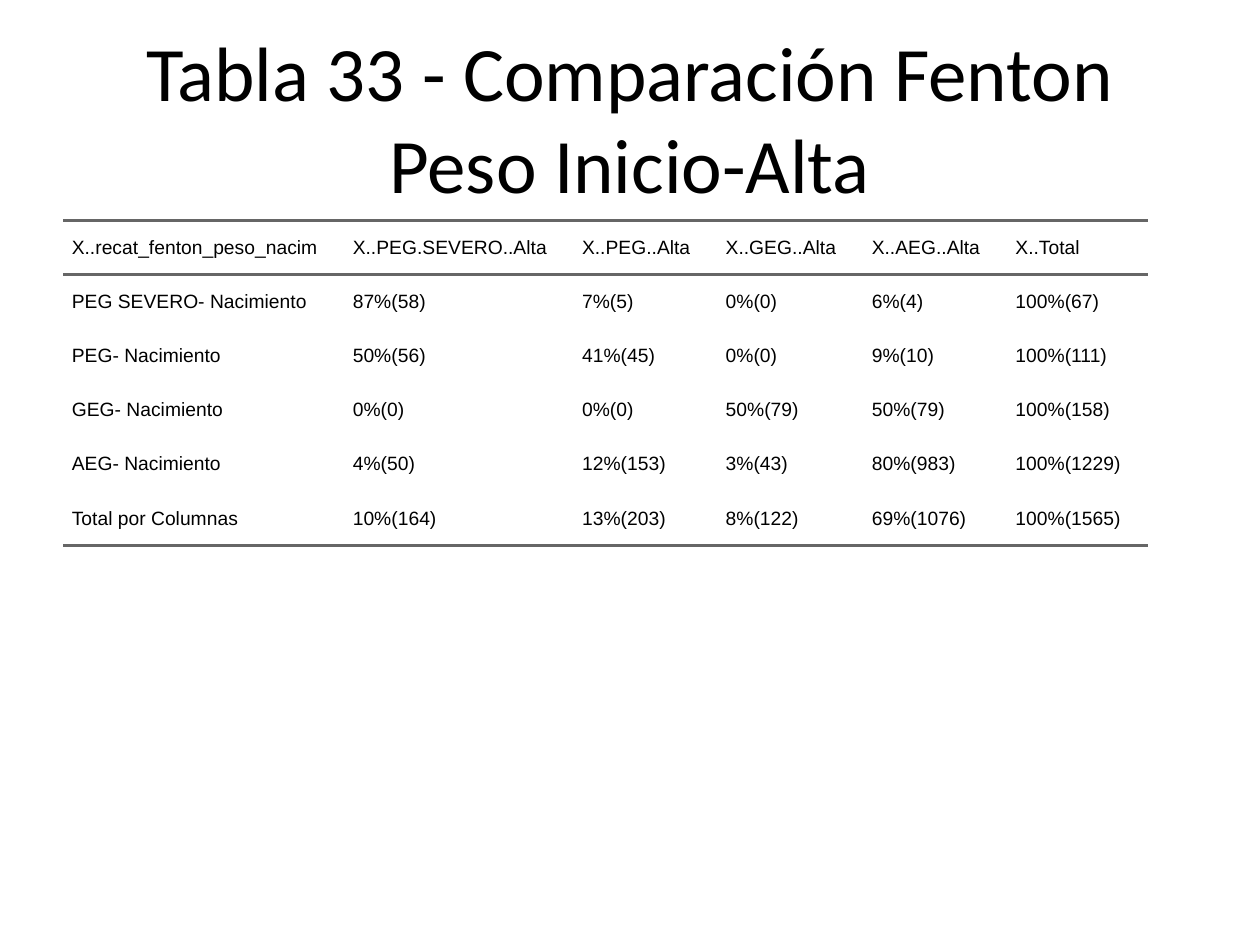
"""Build the Fenton weight comparison slide."""
from lxml import etree
from pptx import Presentation
from pptx.dml.color import RGBColor
from pptx.enum.text import MSO_ANCHOR as ANCHOR, PP_ALIGN as ALIGN
from pptx.oxml.ns import qn
from pptx.util import Inches, Pt

TITLE = "Tabla 33 - Comparación Fenton Peso Inicio-Alta"
ROWS = [
    ("X..recat_fenton_peso_nacim", "X..PEG.SEVERO..Alta", "X..PEG..Alta",
     "X..GEG..Alta", "X..AEG..Alta", "X..Total"),
    ("PEG SEVERO- Nacimiento", "87%(58)", "7%(5)", "0%(0)", "6%(4)", "100%(67)"),
    ("PEG- Nacimiento", "50%(56)", "41%(45)", "0%(0)", "9%(10)", "100%(111)"),
    ("GEG- Nacimiento", "0%(0)", "0%(0)", "50%(79)", "50%(79)", "100%(158)"),
    ("AEG- Nacimiento", "4%(50)", "12%(153)", "3%(43)", "80%(983)", "100%(1229)"),
    ("Total por Columnas", "10%(164)", "13%(203)", "8%(122)", "69%(1076)", "100%(1565)"),
]
COL_WIDTHS = [2.23, 1.82, 1.14, 1.16, 1.14, 1.12]
ROW_HEIGHT = 0.43
RULED_EDGES = {0, 1, len(ROWS)}
COLORS = {"text": "000000", "rule": "666666"}


def write(tf, text, size, font, align=ALIGN.LEFT, space=0, indent=0):
    """Put one formatted paragraph in a text frame."""
    p = tf.paragraphs[0]
    p.alignment = align
    p.space_before = p.space_after = Pt(space)
    if indent:
        pPr = p._p.get_or_add_pPr()
        pPr.set("marL", str(Inches(indent)))
        pPr.set("indent", "0")
    r = p.add_run()
    r.text = text
    r.font.size = Pt(size)
    r.font.name = font
    r.font.color.rgb = RGBColor.from_string(COLORS["text"])


def set_borders(cell, ruled_sides):
    """Rule the given sides of a cell and clear the others."""
    tcPr = cell._tc.get_or_add_tcPr()
    for i, side in enumerate("LRTB"):
        ln = etree.Element(qn(f"a:ln{side}"))
        if side in ruled_sides:
            ln.set("w", str(Pt(2)))
            fill = etree.SubElement(ln, qn("a:solidFill"))
            etree.SubElement(fill, qn("a:srgbClr"), val=COLORS["rule"])
        else:
            etree.SubElement(ln, qn("a:noFill"))
        tcPr.insert(i, ln)


prs = Presentation()
prs.slide_width, prs.slide_height = Inches(10), Inches(7.5)
s = prs.slides.add_slide(prs.slide_layouts[5])

title = s.shapes.title
title.left, title.top, title.width, title.height = map(Inches, (0.5, 0.3, 9, 1.25))
title.text_frame.vertical_anchor = ANCHOR.MIDDLE
write(title.text_frame, TITLE, 44, "Calibri", align=ALIGN.CENTER)

table = s.shapes.add_table(
    len(ROWS), len(COL_WIDTHS), Inches(0.5), Inches(1.75),
    Inches(sum(COL_WIDTHS)), Inches(ROW_HEIGHT * len(ROWS))).table
table.first_row = table.horz_banding = False
for col, width in zip(table.columns, COL_WIDTHS):
    col.width = Inches(width)
for i, values in enumerate(ROWS):
    table.rows[i].height = Inches(ROW_HEIGHT)
    ruled_sides = [side for side, edge in (("T", i), ("B", i + 1)) if edge in RULED_EDGES]
    for j, value in enumerate(values):
        cell = table.cell(i, j)
        cell.margin_left = cell.margin_right = cell.margin_top = cell.margin_bottom = 0
        cell.vertical_anchor = ANCHOR.MIDDLE
        cell.fill.background()
        set_borders(cell, ruled_sides)
        write(cell.text_frame, value, 11, "Arial", space=5, indent=0.07)

prs.save("out.pptx")
